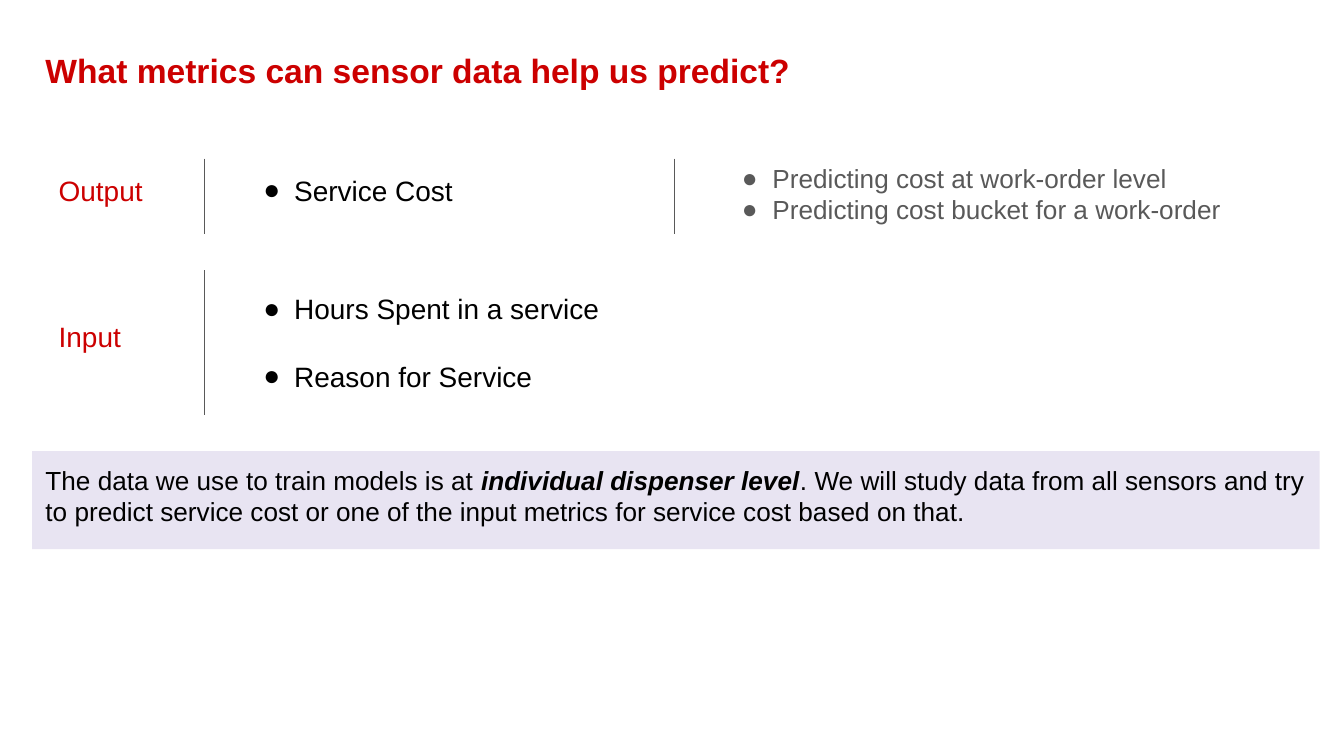
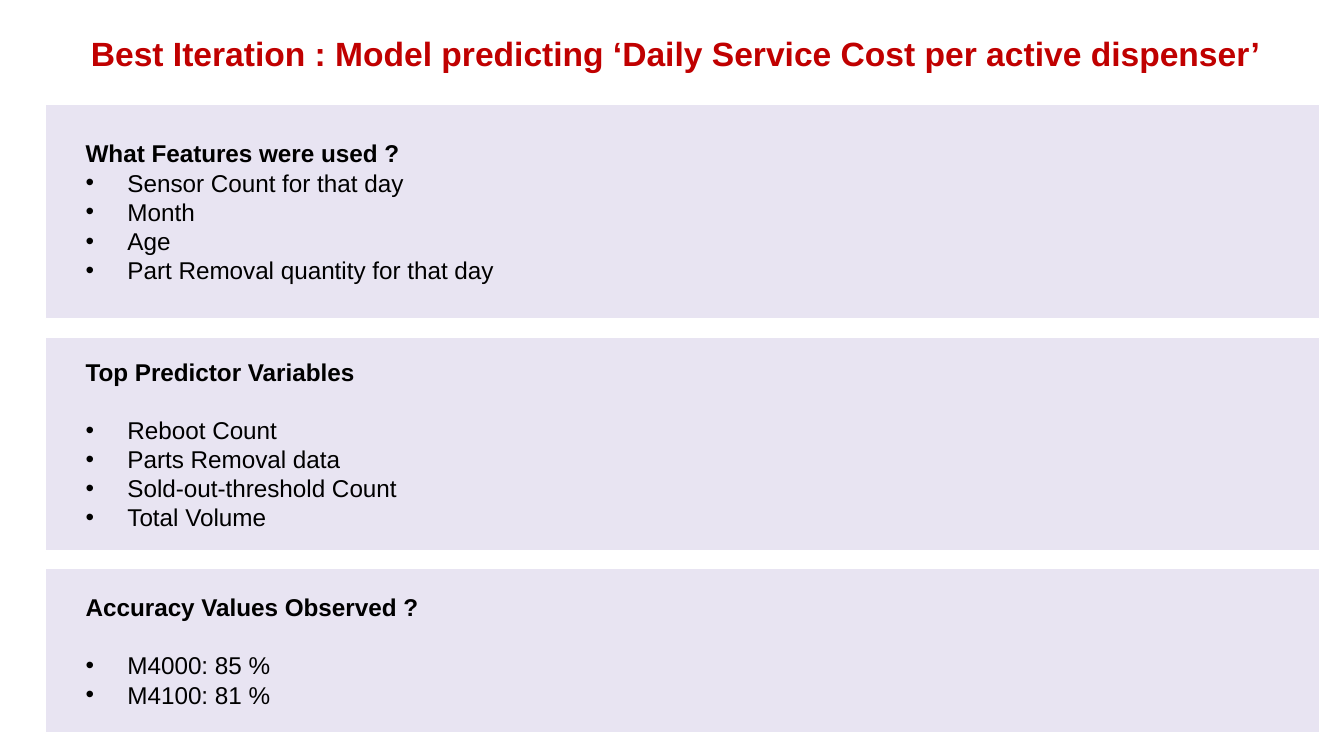
from lxml import etree
from pptx import Presentation
from pptx.dml.color import RGBColor
from pptx.enum.shapes import MSO_CONNECTOR, MSO_SHAPE
from pptx.enum.text import MSO_ANCHOR, PP_ALIGN
from pptx.oxml.ns import qn
from pptx.util import Cm, Pt

LINE = MSO_CONNECTOR.STRAIGHT
RECT = MSO_SHAPE.RECTANGLE
TOP, MID = MSO_ANCHOR.TOP, MSO_ANCHOR.MIDDLE
LEFT, CENTER = PP_ALIGN.LEFT, PP_ALIGN.CENTER

INK = {
    "red": "CC0000",
    "deep": "C00000",
    "black": "000000",
    "grey": "595959",
    "lilac": "D9D2E9",
    "white": "FFFFFF",
}
FONT = "Arial"
PAD = 0.25
EDGE, WIDE = 0.61, 24.33
DOT = ("●", 1.27, -0.58)
SPOT = ("•", 0.79, -0.79)


def tint(name):
    return RGBColor.from_string(INK[name])


def set_frame(shape, anchor, side=PAD):
    frame = shape.text_frame
    frame.word_wrap = True
    frame.vertical_anchor = anchor
    frame.margin_left = frame.margin_right = Cm(side)
    frame.margin_top = frame.margin_bottom = Cm(PAD)
    return frame


def add_mark(para, mark, color):
    sign, indent, hang = mark
    props = para._p.get_or_add_pPr()
    props.set("marL", str(Cm(indent)))
    props.set("indent", str(Cm(hang)))
    paint = etree.SubElement(props, qn("a:buClr"))
    etree.SubElement(paint, qn("a:srgbClr")).set("val", INK[color])
    etree.SubElement(props, qn("a:buFont")).set("typeface", FONT)
    etree.SubElement(props, qn("a:buChar")).set("char", sign)


def add_run(para, text, size, color, bold=False, slant=False):
    run = para.add_run()
    run.text = text
    font = run.font
    font.name, font.size = FONT, Pt(size)
    font.bold, font.italic = bold, slant
    font.color.rgb = tint(color)


def add_para(frame, first=False, align=LEFT, gap=0):
    para = frame.paragraphs[0] if first else frame.add_paragraph()
    para.alignment = align
    if gap:
        para.space_before = Pt(gap)
    return para


def add_text(slide, area, anchor=TOP):
    box = slide.shapes.add_textbox(*map(Cm, area))
    return set_frame(box, anchor)


def add_title(slide, top, text, color, align=LEFT):
    frame = add_text(slide, (EDGE, top, WIDE, 1.24))
    add_run(add_para(frame, True, align), text, 18, color, bold=True)


def add_label(slide, top, text):
    frame = add_text(slide, (0.86, top, 2.11, 0.99), MID)
    add_run(add_para(frame, True), text, 15, "red")


def add_list(slide, area, items, size, color, anchor=MID, gap=0):
    frame = add_text(slide, area, anchor)
    for i, item in enumerate(items):
        para = add_para(frame, i == 0, gap=gap if i else 0)
        add_mark(para, DOT, color)
        add_run(para, item, size, color)


def add_rule(slide, x, top, end):
    rule = slide.shapes.add_connector(LINE, Cm(x), Cm(top), Cm(x), Cm(end))
    rule.line.color.rgb = tint("grey")
    rule.line.width = Pt(0.75)
    etree.SubElement(rule._element.spPr, qn("a:effectLst"))


def add_band(slide, area, anchor, side=PAD, edge=False):
    band = slide.shapes.add_shape(RECT, *map(Cm, area))
    band.shadow.inherit = False
    band.fill.solid()
    band.fill.fore_color.rgb = tint("lilac")
    shade = band._element.spPr.find(qn("a:solidFill"))[0]
    etree.SubElement(shade, qn("a:alpha")).set("val", "58000")
    if edge:
        band.line.color.rgb = tint("white")
        band.line.width = Pt(0.75)
    else:
        band.line.fill.background()
    return set_frame(band, anchor, side)


def add_panel(slide, top, high, head, items, gap):
    frame = add_band(slide, (0.86, top, 24.08, high), MID, 0.76, True)
    add_run(add_para(frame, True), head, 13, "black", bold=True)
    for i, item in enumerate(items):
        para = add_para(frame, gap=0 if i else gap)
        add_mark(para, SPOT, "black")
        add_run(para, item, 13, "black")


def build_metrics(slide):
    add_title(slide, 0.69, "What metrics can sensor data help us predict?", "red")
    add_label(slide, 3.1, "Output")
    add_label(slide, 5.87, "Input")
    for x, top, end in ((3.86, 3, 4.42), (3.86, 5.11, 7.85), (12.75, 3, 4.42)):
        add_rule(slide, x, top, end)
    add_list(slide, (4.04, 3.1, 7.01, 0.99), ["Service Cost"], 15, "black")
    add_list(slide, (4.04, 4.88, 9.47, 3.18),
             ["Hours Spent in a service", "Reason for Service"], 15, "black", gap=18)
    add_list(slide, (13.08, 2.82, 10.31, 1.4),
             ["Predicting cost at work-order level",
              "Predicting cost bucket for a work-order"], 14, "grey", TOP)
    frame = add_band(slide, (EDGE, 8.53, WIDE, 1.85), TOP)
    para = add_para(frame, True)
    add_run(para, "The data we use to train models is at ", 14, "black")
    add_run(para, "individual dispenser level", 14, "black", True, True)
    add_run(para, ". We will study data from all sensors and try to predict service "
            "cost or one of the input metrics for service cost based on that.", 14, "black")


def build_model(slide):
    add_title(slide, 0.38, "Best Iteration : Model predicting "
              "‘Daily Service Cost per active dispenser’", "deep", CENTER)
    panels = (
        (1.98, 4.04, "What Features were used ?",
         ["Sensor Count for that day", "Month", "Age",
          "Part Removal quantity for that day"], 0),
        (6.38, 4.04, "Top Predictor Variables",
         ["Reboot Count", "Parts Removal data", "Sold-out-threshold Count",
          "Total Volume"], 15.6),
        (10.74, 3.12, "Accuracy Values Observed ?", ["M4000: 85 %", "M4100: 81 %"], 15.6),
    )
    for panel in panels:
        add_panel(slide, *panel)


def main():
    deck = Presentation()
    deck.slide_width, deck.slide_height = Cm(25.4), Cm(14.29)
    for build in (build_metrics, build_model):
        build(deck.slides.add_slide(deck.slide_layouts[6]))
    deck.save("out.pptx")


if __name__ == "__main__":
    main()
